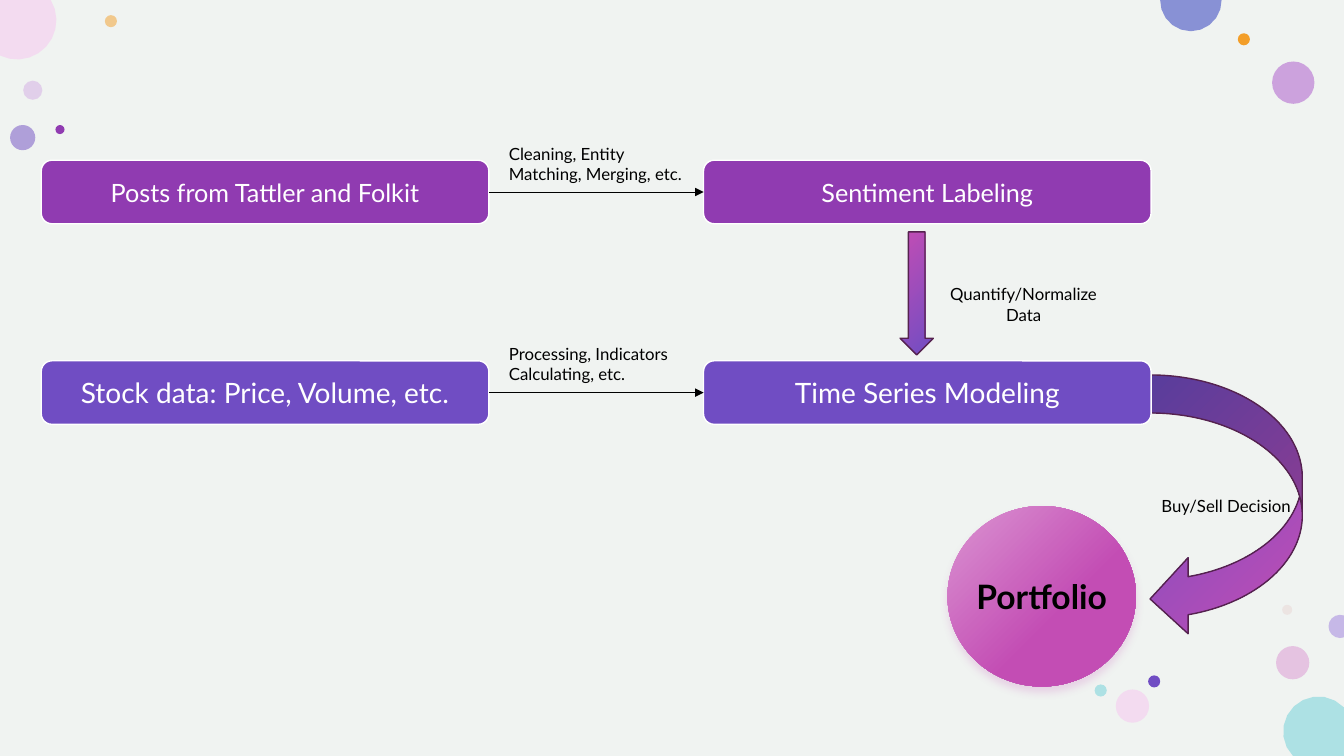
import math
from lxml import etree
from pptx import Presentation
from pptx.dml.color import RGBColor
from pptx.enum.shapes import MSO_CONNECTOR, MSO_SHAPE
from pptx.enum.text import MSO_ANCHOR, PP_ALIGN
from pptx.oxml.ns import qn
from pptx.util import Pt

OVAL = MSO_SHAPE.OVAL
RECTANGLE = MSO_SHAPE.RECTANGLE
ROUNDED = MSO_SHAPE.ROUNDED_RECTANGLE
DOWN_ARROW = MSO_SHAPE.DOWN_ARROW
CURVED_ARROW = MSO_SHAPE.CURVED_LEFT_ARROW
STRAIGHT = MSO_CONNECTOR.STRAIGHT
LEFT, CENTER = PP_ALIGN.LEFT, PP_ALIGN.CENTER
TOP, MIDDLE = MSO_ANCHOR.TOP, MSO_ANCHOR.MIDDLE

PX = 9144
WIDTH, HEIGHT = 12192000, 6858000
PURPLE, VIOLET, PINK = "903BB1", "704DC3", "C34DB4"
BLACK, WHITE, OUTLINE = "000000", "FFFFFF", "55224F"


def paint(fill, colour):
    fill.solid()
    fill.fore_color.rgb = RGBColor.from_string(colour)


def write(shape, text, size, colour, align=CENTER, anchor=MIDDLE, wrap=True, bold=False):
    frame = shape.text_frame
    frame.word_wrap = wrap
    frame.vertical_anchor = anchor
    paragraph = frame.paragraphs[0]
    paragraph.alignment = align
    run = paragraph.add_run()
    run.text = text
    run.font.name = "Lato"
    run.font.size = Pt(size)
    run.font.bold = bold
    paint(run.font.fill, colour)


presentation = Presentation()
presentation.slide_width = WIDTH
presentation.slide_height = HEIGHT
slide = presentation.slides.add_slide(presentation.slide_layouts[6])
shapes = slide.shapes
paint(slide.background.fill, WHITE)

backdrop = shapes.add_shape(RECTANGLE, 0, 0, WIDTH, HEIGHT)
backdrop.shadow.inherit = False
backdrop.line.fill.background()
paint(backdrop.fill, "F0F3F1")

bubbles = [
    (23, 80, 19, "D4ADE4", 50),
    (104, 15, 12, "F39E29", 50),
    (1266, 641, 33, "DB94D2", 50),
    (10, 124, 25, VIOLET, 50),
    (1262, 61, 42, "BF84D6", 72),
    (1228, 33, 12, "F39E29", 100),
    (1272, 600, 10, "E3BEBE", 28),
    (1139, 670, 12, VIOLET, 100),
    (1107, 684, 33, "F3DBF0", 100),
    (1086, 679, 12, "ADE1E4", 100),
    (55, 124, 9, PURPLE, 100),
]
for left, top, size, colour, opacity in bubbles:
    bubble = shapes.add_shape(OVAL, left * PX, top * PX, size * PX, size * PX)
    bubble.shadow.inherit = False
    bubble.line.fill.background()
    paint(bubble.fill, colour)
    if opacity < 100:
        tint = bubble.element.spPr.find(".//" + qn("a:srgbClr"))
        etree.SubElement(tint, qn("a:alpha"), val=str(opacity * 1000))

ARC_STEPS = 10
edge_bubbles = [
    (1273, 691, 70, "ADE1E4", 136, 316, [(WIDTH, HEIGHT)]),
    (-22, -19, 78, "F3DBF0", -31, 116, [(0, 0)]),
    (1151, -30, 61, "8891D5", -2, 182, []),
    (1318, 610, 23, "C6B8E7", 70, 290, []),
]
for left, top, size, colour, start, end, corner in edge_bubbles:
    radius = size / 2
    points = []
    for step in range(ARC_STEPS + 1):
        angle = math.radians(start + (end - start) * step / ARC_STEPS)
        x = (left + radius + radius * math.cos(angle)) * PX
        y = (top + radius + radius * math.sin(angle)) * PX
        points.append((min(max(round(x), 0), WIDTH), min(max(round(y), 0), HEIGHT)))
    builder = shapes.build_freeform(*points[0])
    builder.add_line_segments(points[1:] + corner, close=True)
    bubble = builder.convert_to_shape()
    bubble.shadow.inherit = False
    bubble.line.fill.background()
    paint(bubble.fill, colour)

labels = [
    (495, 138, 43, "Cleaning, Entity Matching, Merging, etc.", LEFT),
    (495, 336, 43, "Processing, Indicators Calculating, etc.", LEFT),
    (919, 277, 50, "Quantify/Normalize Data", CENTER),
]
for left, top, height, text, align in labels:
    label = shapes.add_textbox(left * PX, top * PX, 193 * PX, height * PX)
    write(label, text, 12, BLACK, align, TOP)

gradient_shapes = [
    (CURVED_ARROW, (1141, 372, 151, 260), VIOLET, PINK, 100),
    (OVAL, (940, 502, 187, 179), "DB94D2", PINK, 60),
    (DOWN_ARROW, (893, 230, 33, 122), PINK, VIOLET, 100),
]
drawn = []
for kind, box, start, end, end_position in gradient_shapes:
    shape = shapes.add_shape(kind, *[value * PX for value in box])
    shape.shadow.inherit = False
    shape.fill.gradient()
    shape.fill.gradient_angle = 315
    stops = shape.fill.gradient_stops
    for stop, colour, position in zip(stops, (start, end), (0, end_position)):
        stop.color.rgb = RGBColor.from_string(colour)
        stop.position = position / 100
    if kind == OVAL:
        shape.line.fill.background()
    else:
        paint(shape.line.fill, OUTLINE)
        shape.line.width = Pt(1)
    drawn.append(shape)

decision_arrow, portfolio, quantify_arrow = drawn
write(decision_arrow, "Buy/Sell Decision", 12, BLACK, wrap=False)
write(portfolio, "Portfolio", 24, BLACK, wrap=False, bold=True)
effects = portfolio.element.spPr.find(qn("a:effectLst"))
shadow = etree.SubElement(
    effects, qn("a:outerShdw"), blurRad=str(Pt(6)), dist=str(Pt(4)), dir="5400000", rotWithShape="0"
)
shadow_colour = etree.SubElement(shadow, qn("a:srgbClr"), val=PINK)
etree.SubElement(shadow_colour, qn("a:alpha"), val="20000")

rows = [
    (159, PURPLE, 18, ["Posts from Tattler and Folkit", "Sentiment Labeling"]),
    (358, VIOLET, 20, ["Stock data: Price, Volume, etc.", "Time Series Modeling"]),
]
for top, colour, size, steps in rows:
    boxes = []
    for left, text in zip((41, 698), steps):
        box = shapes.add_shape(ROUNDED, left * PX, top * PX, 444 * PX, 63 * PX)
        box.shadow.inherit = False
        paint(box.fill, colour)
        paint(box.line.fill, WHITE)
        box.line.width = Pt(1)
        write(box, text, size, WHITE)
        boxes.append(box)
    source, target = boxes
    connector = shapes.add_connector(STRAIGHT, 0, 0, 0, 0)
    connector.begin_connect(source, 3)
    connector.end_connect(target, 1)
    paint(connector.line.fill, BLACK)
    connector.line.width = Pt(0.5)
    line = connector.element.spPr.find(qn("a:ln"))
    etree.SubElement(line, qn("a:tailEnd"), type="triangle")
    etree.SubElement(connector.element.spPr, qn("a:effectLst"))

presentation.save("out.pptx")
